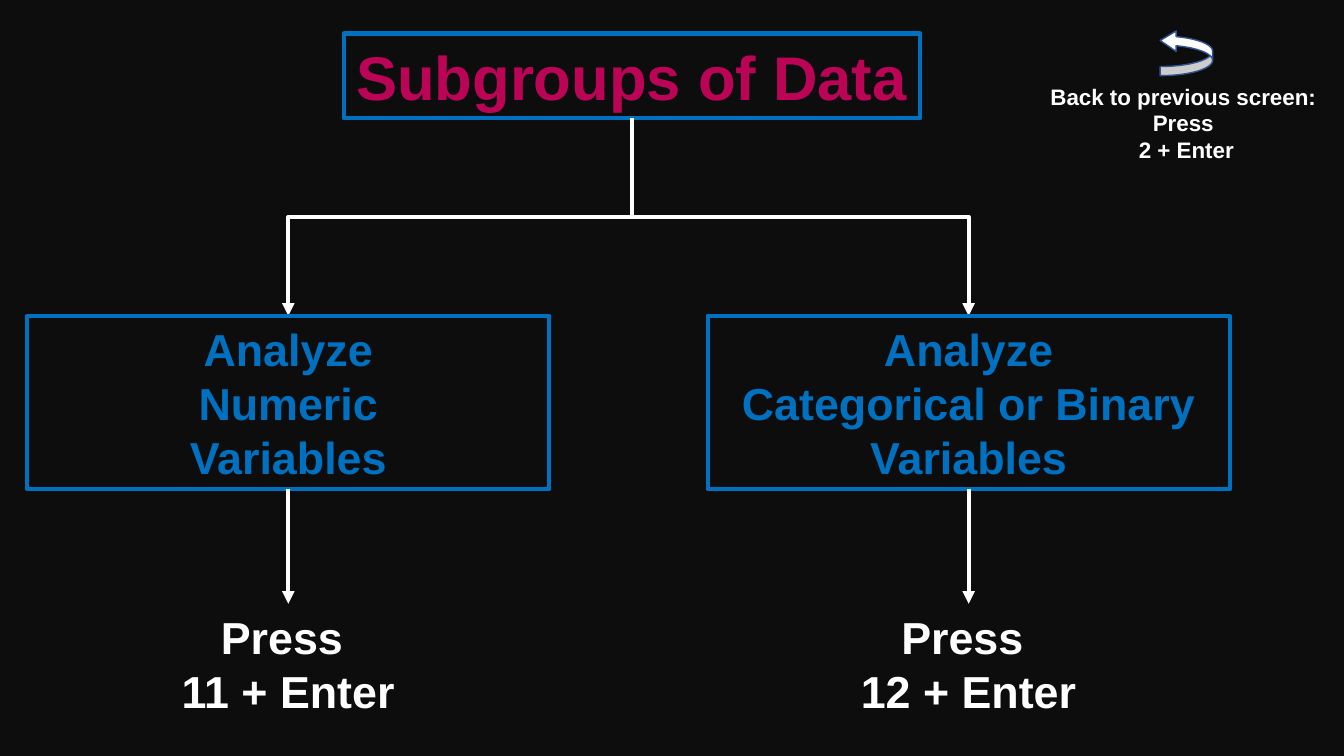
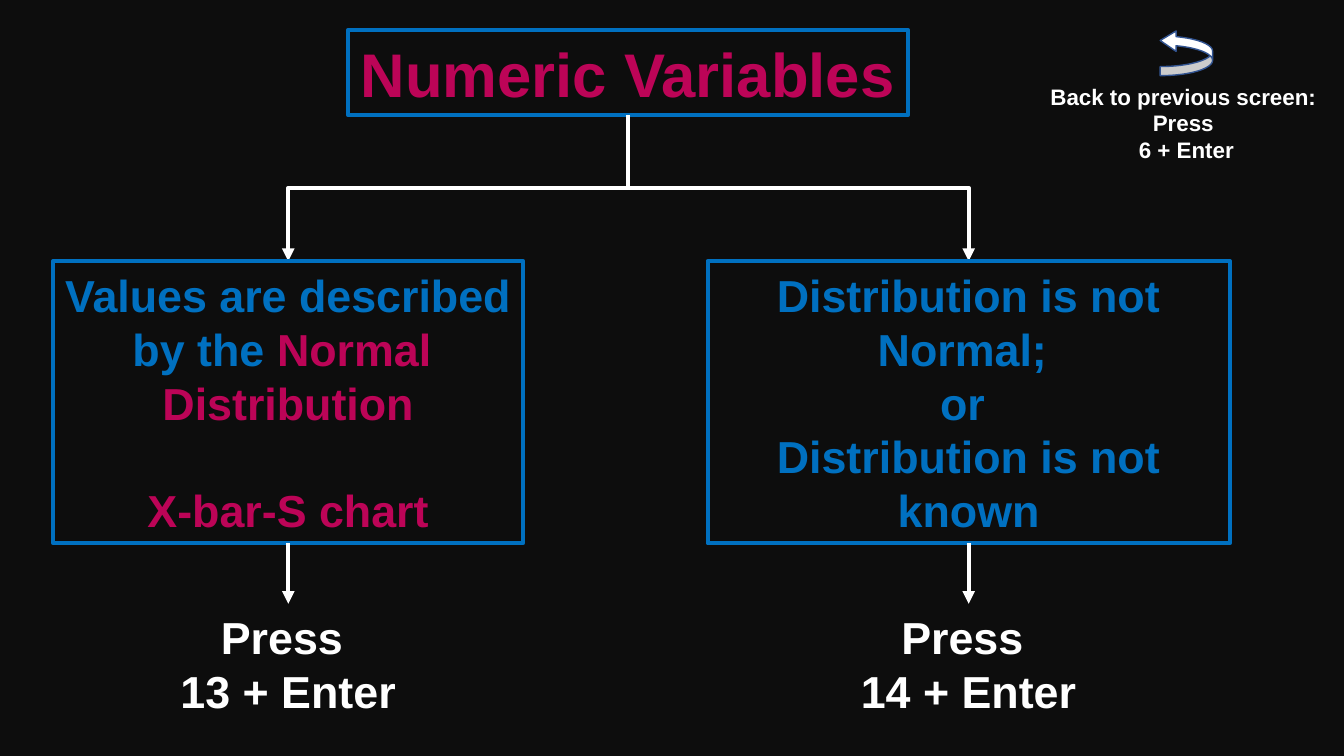
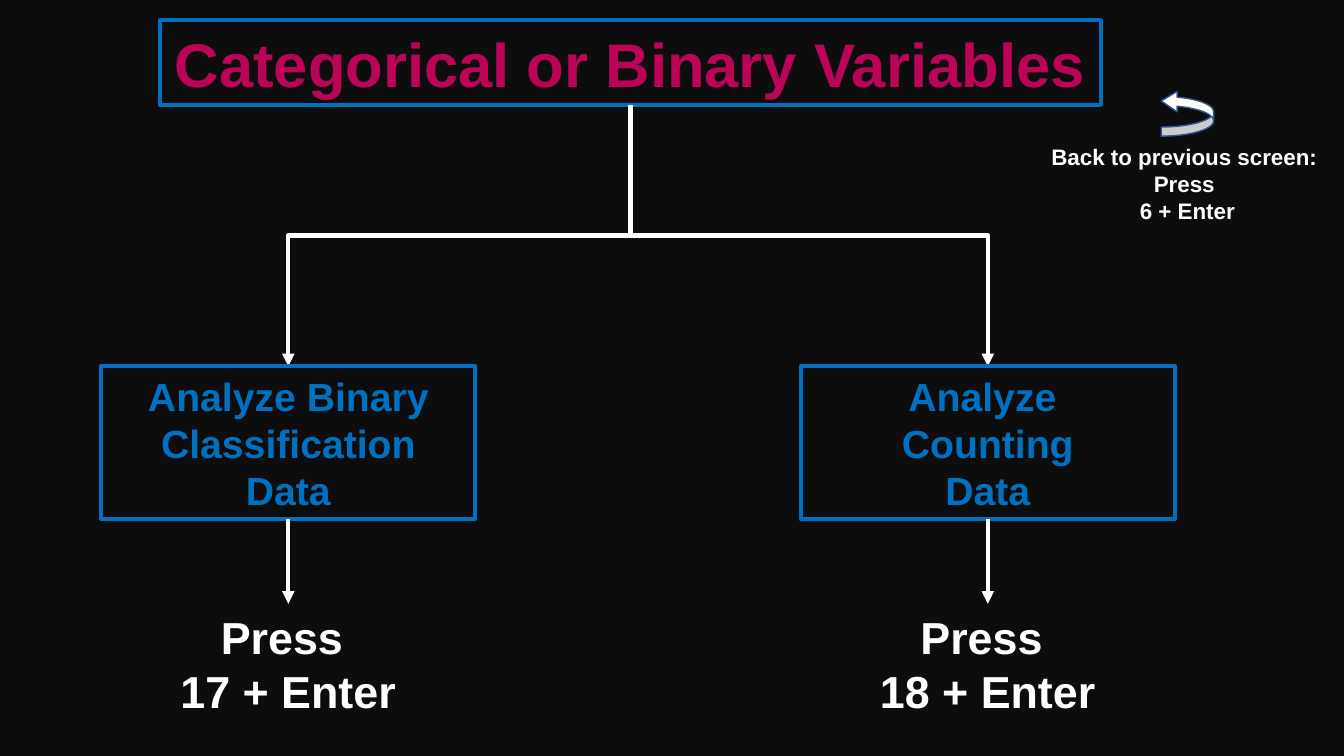
"""Build three decision-tree slides that share one dark style."""
from pptx import Presentation
from pptx import util as u
from pptx.dml.color import RGBColor
from pptx.enum import shapes, text
from pptx.oxml.ns import qn
from lxml import etree

DARK = RGBColor(0x0D, 0x0D, 0x0D)
WHITE = RGBColor(0xFF, 0xFF, 0xFF)
BLUE = RGBColor(0x00, 0x70, 0xC0)
RED = RGBColor(0xBC, 0x04, 0x57)
EDGE = RGBColor(0x32, 0x54, 0x91)
FONT = "Arial"
COLS, ROWS = 80, 45
CELL = u.Inches(7.5) // ROWS
TITLE_H = 5.04
PRESS_TOP, PRESS_W, PRESS_H = 35.94, 14.16, 7.08
LEFT, RIGHT = 17.16, 57.66


def grid(*cells):
    """Turn grid cells into slide lengths."""
    return [u.Emu(round(cell * CELL)) for cell in cells]


class Deck:
    """Hold the style and the current slide."""

    def __init__(self):
        """Start an empty wide deck."""
        self.prs = Presentation()
        self.prs.slide_width, self.prs.slide_height = grid(COLS, ROWS)
        self.slide = None

    def page(self):
        """Add a dark blank slide."""
        self.slide = self.prs.slides.add_slide(self.prs.slide_layouts[6])
        fill = self.slide.background.fill
        fill.solid()
        fill.fore_color.rgb = DARK

    def words(self, shape, lines, size, color, wrap=True, gap=0):
        """Set centred lines, red after a bar, with a gap before the last."""
        frame = shape.text_frame
        frame.auto_size = text.MSO_AUTO_SIZE.NONE
        frame.word_wrap = wrap
        frame.vertical_anchor = text.MSO_ANCHOR.MIDDLE
        for i, line in enumerate(lines):
            para = frame.add_paragraph() if i else frame.paragraphs[0]
            para.alignment = text.PP_ALIGN.CENTER
            for part, tint in zip(line.split("|"), (color, RED)):
                if part:
                    run = para.add_run()
                    run.text = part
                    run.font.name, run.font.size = FONT, u.Pt(size)
                    run.font.bold = True
                    run.font.color.rgb = tint
        if gap:
            para.space_before = u.Pt(gap)

    def label(self, mid, top, width, height, lines, size):
        """Add plain white text around a middle line."""
        box = self.slide.shapes.add_textbox(
            *grid(mid - width / 2, top, width, height))
        self.words(box, lines, size, WHITE)

    def frame(self, mid, top, width, height, lines, size, color, **opts):
        """Add a blue outlined box with text."""
        box = self.slide.shapes.add_shape(
            shapes.MSO_SHAPE.RECTANGLE,
            *grid(mid - width / 2, top, width, height))
        box.shadow.inherit = False
        box.fill.background()
        box.line.color.rgb = BLUE
        box.line.width = u.Pt(3)
        self.words(box, lines, size, color, **opts)

    def arrow(self, kind, ends, turn=0):
        """Add a white arrow, turned by some degrees."""
        link = self.slide.shapes.add_connector(kind, *grid(*ends))
        link.line.color.rgb = WHITE
        link.line.width = u.Pt(3)
        props = link._element.spPr
        if turn:
            props.find(qn("a:xfrm")).set("rot", str(turn * 60000))
        etree.SubElement(props.find(qn("a:ln")), qn("a:tailEnd"),
                         type="triangle")
        etree.SubElement(props, qn("a:effectLst"))

    def drop(self, x, top, low):
        """Add a straight arrow downwards."""
        self.arrow(shapes.MSO_CONNECTOR.STRAIGHT, (x, top, x, low))

    def bend(self, x, top, goal, low):
        """Add an elbow arrow that leaves and lands upright."""
        side = 1 if goal > x else -1
        mid, half = (x + goal) / 2, abs(goal - x) / 2
        level, reach = (top + low) / 2, side * (low - top) / 2
        self.arrow(shapes.MSO_CONNECTOR.ELBOW,
                   (mid + reach, level - half, mid - reach, level + half),
                   270 if side > 0 else 90)

    def back(self, key, mid=70.62, top=1.8):
        """Add the sign that leads to the previous screen."""
        sign = self.slide.shapes.add_shape(
            shapes.MSO_SHAPE.CURVED_RIGHT_ARROW,
            *grid(mid - 1.56, top, 3.12, 2.7))
        sign.rotation = 180
        for i, share in enumerate((0.2, 0.45, 0.35)):
            sign.adjustments[i] = share
        sign.shadow.inherit = False
        sign.fill.solid()
        sign.fill.fore_color.rgb = WHITE
        sign.line.color.rgb = EDGE
        sign.line.width = u.Pt(1)
        self.label(mid, top + 2.7, 17.4, 5.64,
                   ("Back to previous screen: ", "Press ", f"{key} + Enter"),
                   16)

    def tree(self, title, mid, top, width, row, height, size, arms):
        """Add a title box and the arms below it."""
        self.frame(mid, top, width, TITLE_H, (title,), 44, RED, wrap=False)
        for goal, span, lines, key, gap in arms:
            self.bend(mid, top + TITLE_H, goal, row)
            self.frame(goal, row, span, height, lines, size, BLUE, gap=gap)
            self.drop(goal, row + height, PRESS_TOP)
            self.label(goal, PRESS_TOP, PRESS_W, PRESS_H,
                       ("Press ", f"{key} + Enter"), 32)


def main():
    """Build and save the deck."""
    deck = Deck()

    deck.page()
    deck.tree("Subgroups of Data", 37.62, 2, 34.32, 18.8, 10.32, 32, (
        (LEFT, 31.08, ("Analyze", "Numeric", "Variables"), 11, 0),
        (RIGHT, 31.08,
         ("Analyze", "Categorical or Binary", "Variables"), 12, 0)))
    deck.back(2)

    deck.page()
    deck.tree("Numeric Variables", 37.38, 1.8, 33.36, 15.54, 16.8, 32, (
        (LEFT, 27.96,
         ("Values are described", "by the |Normal ", "|Distribution",
          "|X-bar-S chart"), 13, 38.4),
        (RIGHT, 31.08,
         ("Distribution is not Normal; ", "or ",
          "Distribution is not known"), 14, 0)))
    deck.back(6)

    deck.page()
    deck.tree("Categorical or Binary Variables", 37.53, 1.2, 56, 21.8, 9.1,
              28, (
        (LEFT, 22.26, ("Analyze Binary", "Classification", "Data"), 17, 0),
        (58.8, 22.26, ("Analyze ", "Counting", "Data"), 18, 0)))
    deck.back(6, 70.68, 5.4)

    deck.prs.save("out.pptx")


if __name__ == "__main__":
    main()
